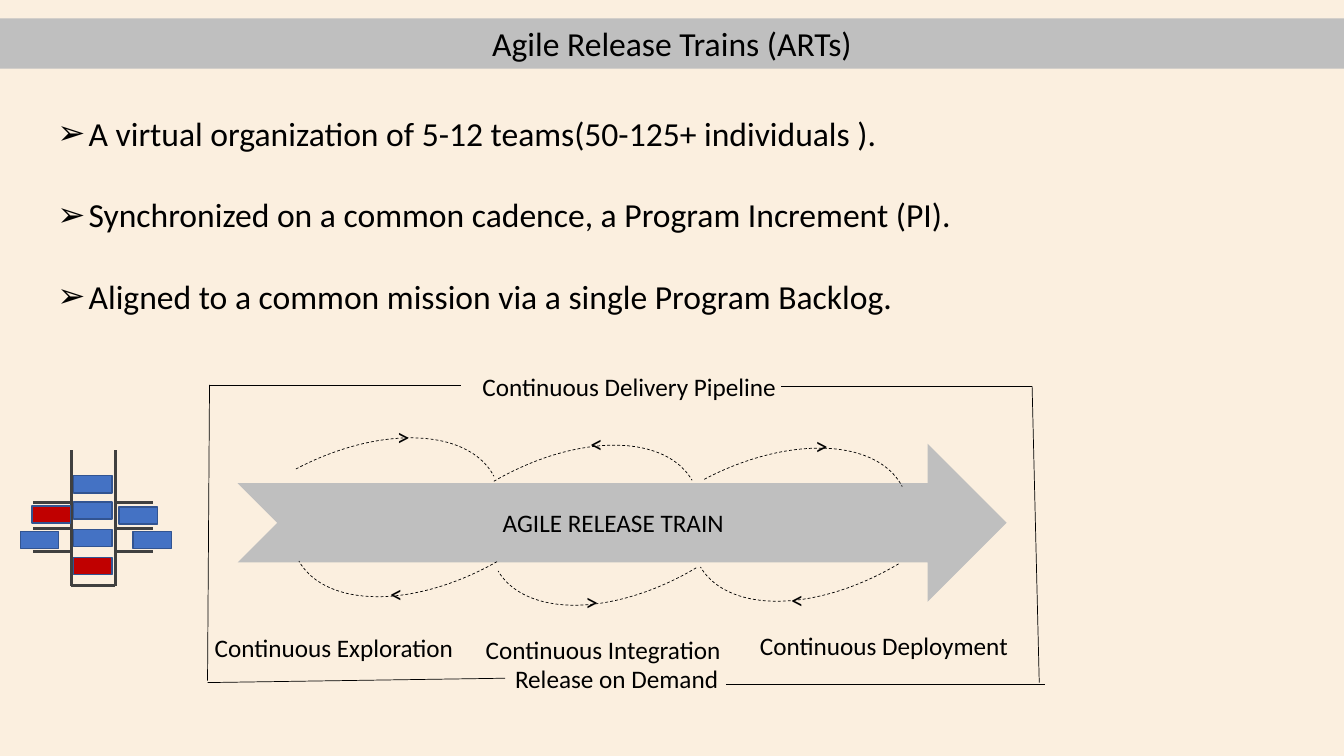
"""Build the Agile Release Trains slide."""
from lxml.etree import SubElement
from pptx import Presentation
from pptx.dml.color import RGBColor
from pptx.enum.dml import MSO_LINE
from pptx.enum.shapes import MSO_CONNECTOR, MSO_SHAPE
from pptx.enum.text import MSO_ANCHOR, MSO_AUTO_SIZE, PP_ALIGN
from pptx.oxml.ns import qn
from pptx.util import Cm, Pt

HUES = {"page": "FBEFDF", "bar": "BFBFBF", "ink": "000000", "rail": "404040",
        "blue": "4472C4", "edge": "325491", "red": "C00000"}
FONT = "Calibri"
WIDE, HIGH = 33.87, 19.05
TITLE = "Agile Release Trains (ARTs)"
POINTS = [
    "A virtual organization of 5-12 teams(50-125+ individuals ).",
    "Synchronized on a common cadence, a Program Increment (PI).",
    "Aligned to a common mission via a single Program Backlog.",
]
ARC = (8.66, 4.98)
ARCS = [(14.58, 11.79, 332.2), (9.37, 11.79, 329.8), (6.96, 9.5, 150.3),
        (11.94, 9.68, 149.2), (17.04, 9.58, 149.2), (4.29, 11.53, 332.2)]
LEFT, RIGHT, TOP, BASE = 1.8, 2.9, 11.35, 14.76
TIE = 0.96
TIES = [12.67, 13.31, 13.9]
CAR = (0.97, 0.43)
CARS = [(1.85, 11.99, "blue"), (1.85, 12.65, "blue"), (1.85, 13.34, "blue"),
        (1.85, 14.05, "red"), (0.81, 12.75, "red"), (0.51, 13.39, "blue"),
        (3.0, 12.78, "blue"), (3.35, 13.39, "blue")]
TRAIN = (5.99, 11.18, 19.38, 3.99)
LABELS = [
    (">", 9.75, 10.49, 0.69), ("<", 14.63, 10.67, 0.69),
    (">", 14.5, 14.66, 0.69), (">", 20.29, 10.72, 0.69),
    ("<", 19.69, 14.61, 0.69), ("<", 9.58, 14.45, 0.69),
    ("AGILE RELEASE TRAIN", 12.42, 12.65, 10.46),
    ("Continuous Delivery Pipeline", 11.91, 9.22, 10.46),
    ("Continuous Integration", 11.99, 15.85, 6.6),
    ("Continuous Exploration", 5.16, 15.8, 6.76),
    ("Continuous Deployment", 18.9, 15.77, 6.93),
    ("Release on Demand", 12.73, 16.59, 6.6),
]
FRAME = [(5.28, 9.7, 11.61, 9.7), (19.69, 9.73, 26.01, 9.73),
         (5.23, 17.15, 5.28, 9.7), (5.23, 17.2, 12.73, 17.09),
         (26.19, 17.2, 26.01, 9.73), (18.29, 17.25, 26.34, 17.25)]


def hue(name):
    return RGBColor.from_string(HUES[name])


def write(para, text, size):
    run = para.add_run()
    run.text = text
    run.font.name = FONT
    run.font.size = Pt(size)
    run.font.color.rgb = hue("ink")


def place(holder, x, y, w, h, anchor):
    holder.left, holder.top, holder.width, holder.height = map(Cm, (x, y, w, h))
    frame = holder.text_frame
    frame.word_wrap = True
    frame.auto_size = MSO_AUTO_SIZE.NONE
    frame.vertical_anchor = anchor
    return frame


def shape(slide, kind, x, y, w, h, fill=None, edge=None, width=1):
    item = slide.shapes.add_shape(kind, *map(Cm, (x, y, w, h)))
    item.shadow.inherit = False
    if fill:
        item.fill.solid()
        item.fill.fore_color.rgb = hue(fill)
    else:
        item.fill.background()
    if edge:
        item.line.color.rgb = hue(edge)
        item.line.width = Pt(width)
    else:
        item.line.fill.background()
    return item


def line(slide, ends, color, width):
    item = slide.shapes.add_connector(MSO_CONNECTOR.STRAIGHT, *map(Cm, ends))
    item.line.color.rgb = hue(color)
    item.line.width = Pt(width)
    SubElement(item.element.spPr, qn("a:effectLst"))


def head(slide):
    title = slide.shapes.title
    title.fill.solid()
    title.fill.fore_color.rgb = hue("bar")
    frame = place(title, 0, 0.46, WIDE, 1.27, MSO_ANCHOR.MIDDLE)
    para = frame.paragraphs[0]
    para.alignment = PP_ALIGN.CENTER
    write(para, TITLE, 24)


def bullets(slide):
    frame = place(slide.placeholders[1], 1.19, 2.72, 30.81, 5.38, MSO_ANCHOR.TOP)
    for i, text in enumerate(POINTS):
        para = frame.paragraphs[0] if i == 0 else frame.add_paragraph()
        props = para._p.get_or_add_pPr()
        props.set("marL", str(Cm(0.79)))
        props.set("indent", str(-Cm(0.79)))
        SubElement(props, qn("a:buChar"), char="➢")
        para.space_before = Pt(29.3 if i else 0)
        write(para, text, 24)


def track(slide):
    rails = [(LEFT, TOP, LEFT, BASE), (LEFT, BASE, RIGHT, BASE),
             (RIGHT, TOP, RIGHT, BASE)]
    for y in TIES:
        rails += [(LEFT - TIE, y, LEFT, y), (RIGHT, y, RIGHT + TIE, y)]
    for ends in rails:
        line(slide, ends, "rail", 2.25)
    for x, y, fill in CARS:
        shape(slide, MSO_SHAPE.RECTANGLE, x, y, *CAR, fill, "edge")


def train(slide):
    shape(slide, MSO_SHAPE.NOTCHED_RIGHT_ARROW, *TRAIN, "bar")
    for x, y, turn in ARCS:
        arc = shape(slide, MSO_SHAPE.ARC, x, y, *ARC, edge="ink", width=0.5)
        arc.rotation = turn
        arc.line.dash_style = MSO_LINE.DASH
    for ends in FRAME:
        line(slide, ends, "ink", 0.5)
    for text, x, y, w in LABELS:
        box = slide.shapes.add_textbox(*map(Cm, (x, y, w, 1.02)))
        box.text_frame.word_wrap = True
        write(box.text_frame.paragraphs[0], text, 18)


def main():
    deck = Presentation()
    deck.slide_width, deck.slide_height = Cm(WIDE), Cm(HIGH)
    slide = deck.slides.add_slide(deck.slide_layouts[1])
    slide.background.fill.solid()
    slide.background.fill.fore_color.rgb = hue("page")
    head(slide)
    bullets(slide)
    track(slide)
    train(slide)
    deck.save("out.pptx")


if __name__ == "__main__":
    main()
